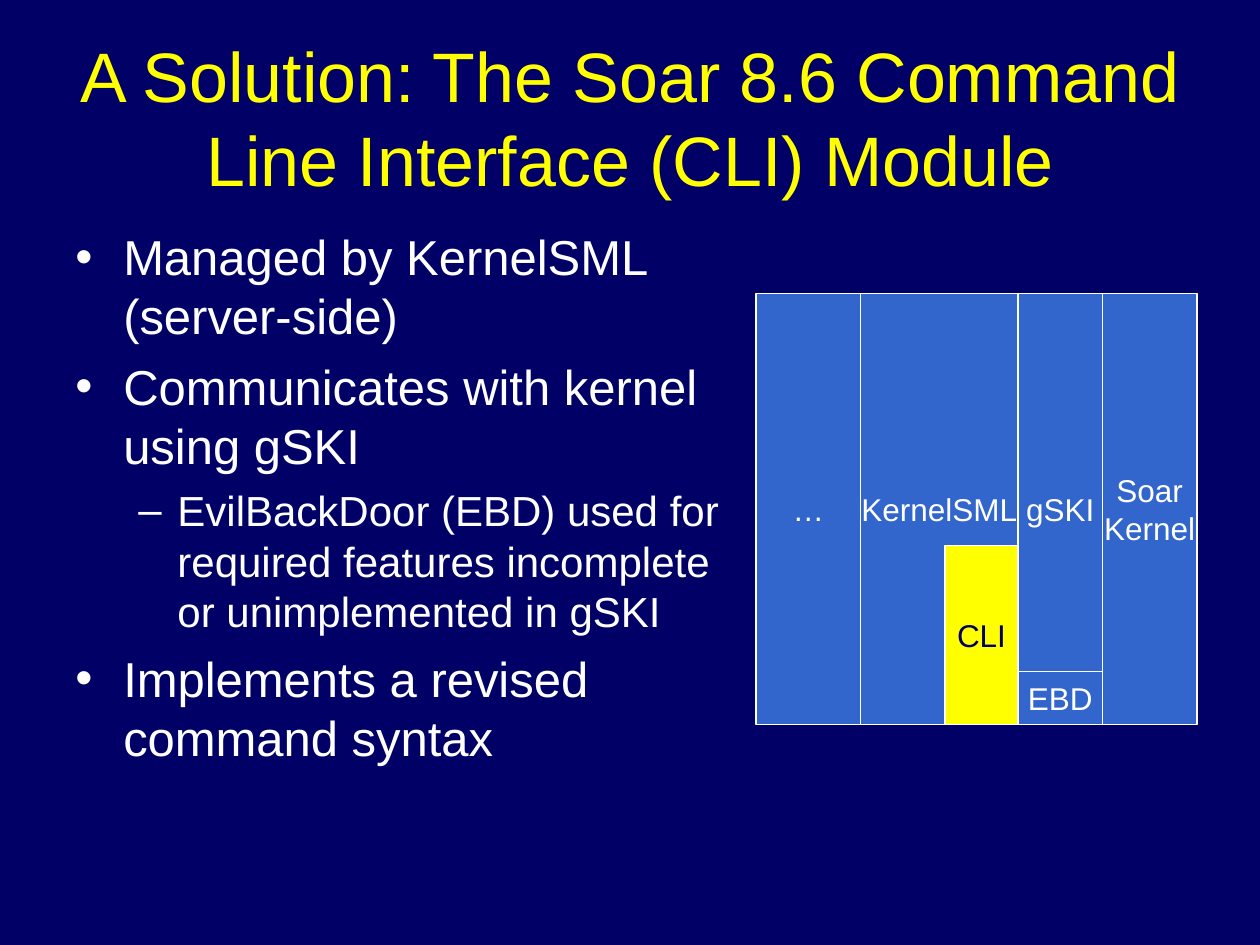
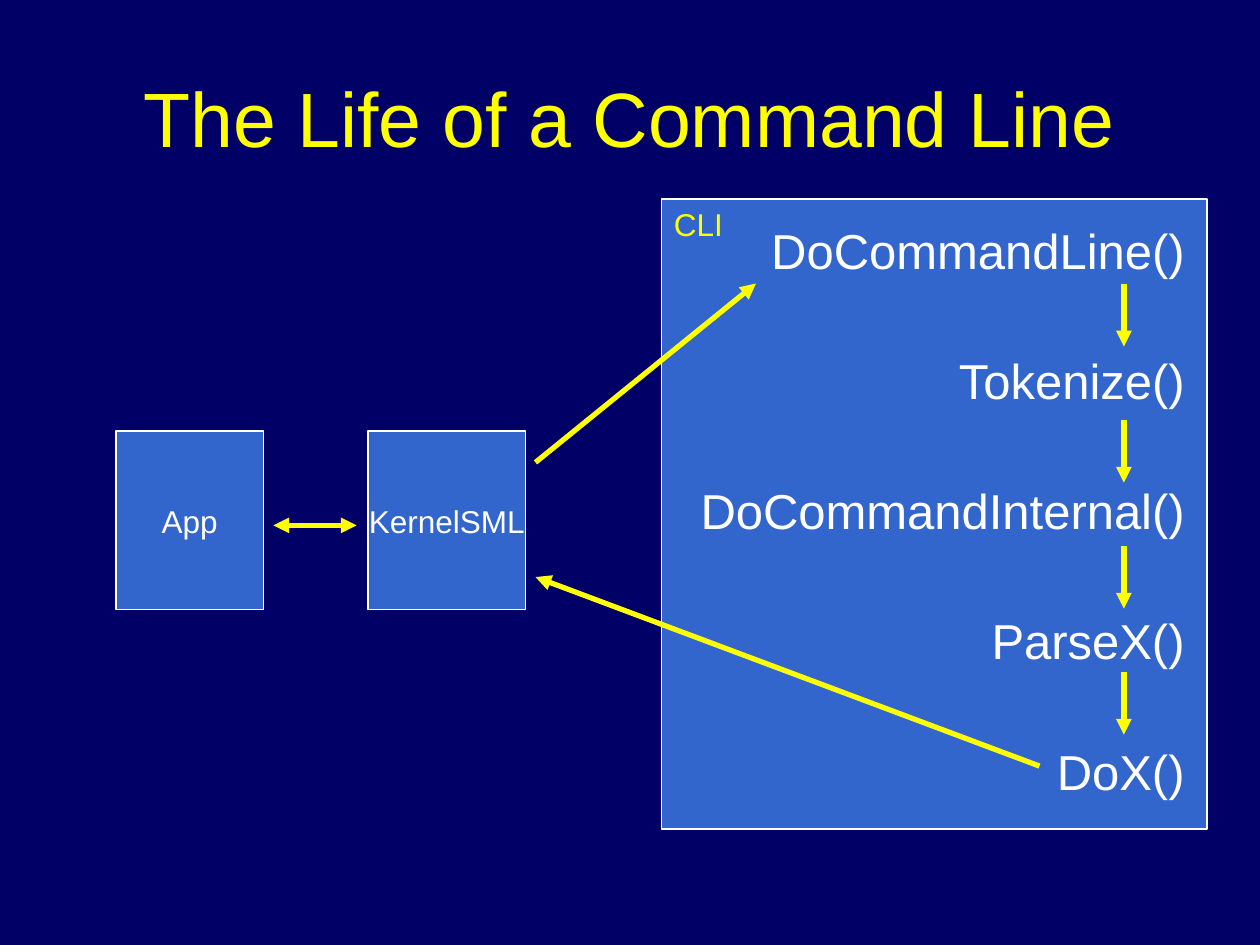
from lxml import etree
from pptx import Presentation
from pptx.dml.color import RGBColor
from pptx.enum.shapes import MSO_CONNECTOR, MSO_SHAPE
from pptx.enum.text import MSO_ANCHOR, PP_ALIGN
from pptx.oxml.ns import qn
from pptx.util import Inches, Pt

RECT, LINE = MSO_SHAPE.RECTANGLE, MSO_CONNECTOR.STRAIGHT
LEFT, MID, RIGHT = PP_ALIGN.LEFT, PP_ALIGN.CENTER, PP_ALIGN.RIGHT
TOP, CENTER = MSO_ANCHOR.TOP, MSO_ANCHOR.MIDDLE

COLORS = {"navy": "000066", "blue": "3366CC", "yellow": "FFFF00", "white": "FFFFFF"}
FONT = "Arial"
TITLE_AT = (0.5, 0.3, 9, 1.25)

# Slide 1: level, text
POINTS = [
    (0, "Managed by KernelSML (server-side)"),
    (0, "Communicates with kernel using gSKI"),
    (1, "EvilBackDoor (EBD) used for required features incomplete "
        "or unimplemented in gSKI"),
    (0, "Implements a revised command syntax"),
]
LEVELS = [
    {"size": 28, "before": 7, "indent": 0.38, "hang": 0.38, "mark": "•"},
    {"size": 24, "before": 6, "indent": 0.81, "hang": 0.31, "mark": "–"},
]
# Layers from left to right: lines, width, part nested in the lower right corner
LAYERS = [
    (["…"], 0.83, None),
    (["KernelSML"], 1.25, ("CLI", 0.58, 1.42, "yellow", "navy")),
    (["gSKI"], 0.67, ("EBD", 0.67, 0.42, "blue", "white")),
    (["Soar", "Kernel"], 0.75, None),
]
STACK_AT = (6, 2.33, 3.42)  # left, top, height

# Slide 2
CALLS = ["DoCommandLine()", "Tokenize()", "DoCommandInternal()", "ParseX()", "DoX()"]
CALL_GAP = 44.2
STEP_X, STEP_LEN = 8.92, 0.5
STEP_TOPS = [2.25, 3.33, 4.33, 5.33]
PEERS = [("App", 0.92, 1.17), ("KernelSML", 2.92, 1.25)]
LINKS = [  # start, end, arrow at both ends
    ((4.25, 3.67), (6, 2.25), False),
    ((8.25, 6.08), (4.25, 4.58), False),
    ((2.17, 4.17), (2.83, 4.17), True),
]


def rgb(name):
    return RGBColor.from_string(COLORS[name])


def write(shape, lines, size, color, align=MID, anchor=CENTER, wrap=True):
    """Fill a shape with one paragraph per line and return the paragraphs."""
    frame = shape.text_frame
    frame.word_wrap, frame.vertical_anchor = wrap, anchor
    frame.text = "\n".join(lines)
    for para in frame.paragraphs:
        para.alignment = align
        font = para.runs[0].font
        for key, value in {"name": FONT, "size": Pt(size)}.items():
            setattr(font, key, value)
        font.color.rgb = rgb(color)
    return frame.paragraphs


def text(slide, at, *args, **style):
    return write(slide.shapes.add_textbox(*map(Inches, at)), *args, **style)


def box(slide, at, lines, fill="blue", color="white", **style):
    shape = slide.shapes.add_shape(RECT, *map(Inches, at))
    shape.shadow.inherit = False
    shape.fill.solid()
    shape.fill.fore_color.rgb = rgb(fill)
    shape.line.color.rgb = rgb("white")
    shape.line.width = Pt(0.75)
    write(shape, lines, 18, color, wrap=False, **style)


def arrow(slide, start, end, both=False):
    link = slide.shapes.add_connector(LINE, *map(Inches, start + end))
    link.line.color.rgb = rgb("yellow")
    link.line.width = Pt(3)
    line = link.line._get_or_add_ln()
    for tag in (["a:headEnd"] if both else []) + ["a:tailEnd"]:
        etree.SubElement(line, qn(tag), type="triangle")
    etree.SubElement(link._element.spPr, qn("a:effectLst"))


def bullet(para, level):
    form = LEVELS[level]
    para.level = level
    para.space_before = Pt(form["before"])
    para.runs[0].font.size = Pt(form["size"])
    props = para._p.get_or_add_pPr()
    props.set("marL", str(Inches(form["indent"])))
    props.set("indent", str(-Inches(form["hang"])))
    tint = etree.SubElement(props, qn("a:buClr"))
    etree.SubElement(tint, qn("a:srgbClr"), val=COLORS["white"])
    etree.SubElement(props, qn("a:buFont"), typeface=FONT)
    etree.SubElement(props, qn("a:buChar"), char=form["mark"])


def start(deck):
    slide = deck.slides.add_slide(deck.slide_layouts[6])
    slide.background.fill.solid()
    slide.background.fill.fore_color.rgb = rgb("navy")
    return slide


def title(slide, words, size):
    text(slide, TITLE_AT, [words], size, "yellow")


def module(deck):
    slide = start(deck)
    title(slide, "A Solution: The Soar 8.6 Command Line Interface (CLI) Module", 40)
    paras = text(slide, (0.5, 1.75, 5.42, 4.95), [words for _, words in POINTS],
                 28, "white", align=LEFT, anchor=TOP)
    for para, (level, _) in zip(paras, POINTS):
        bullet(para, level)

    left, top, height = STACK_AT
    for lines, width, part in LAYERS:
        box(slide, (left, top, width, height), lines)
        left += width
        if part:
            name, wide, high, fill, color = part
            box(slide, (left - wide, top + height - high, wide, high),
                [name], fill, color)


def life(deck):
    slide = start(deck)
    box(slide, (5.25, 1.58, 4.33, 5), ["CLI"], color="yellow", align=LEFT, anchor=TOP)
    title(slide, "The Life of a Command Line", 44)
    paras = text(slide, (0.5, 1.75, 9, 4.95), CALLS, 28, "white",
                 align=RIGHT, anchor=TOP)
    for i, para in enumerate(paras):
        para.line_spacing = 0.9
        para.space_before = Pt(CALL_GAP if i else 7)
    for top in STEP_TOPS:
        arrow(slide, (STEP_X, top), (STEP_X, top + STEP_LEN))
    for name, left, width in PEERS:
        box(slide, (left, 3.42, width, 1.42), [name])
    for link in LINKS:
        arrow(slide, *link)


def main():
    deck = Presentation()
    deck.slide_width, deck.slide_height = Inches(10), Inches(7.5)
    module(deck)
    life(deck)
    deck.save("out.pptx")


if __name__ == "__main__":
    main()
